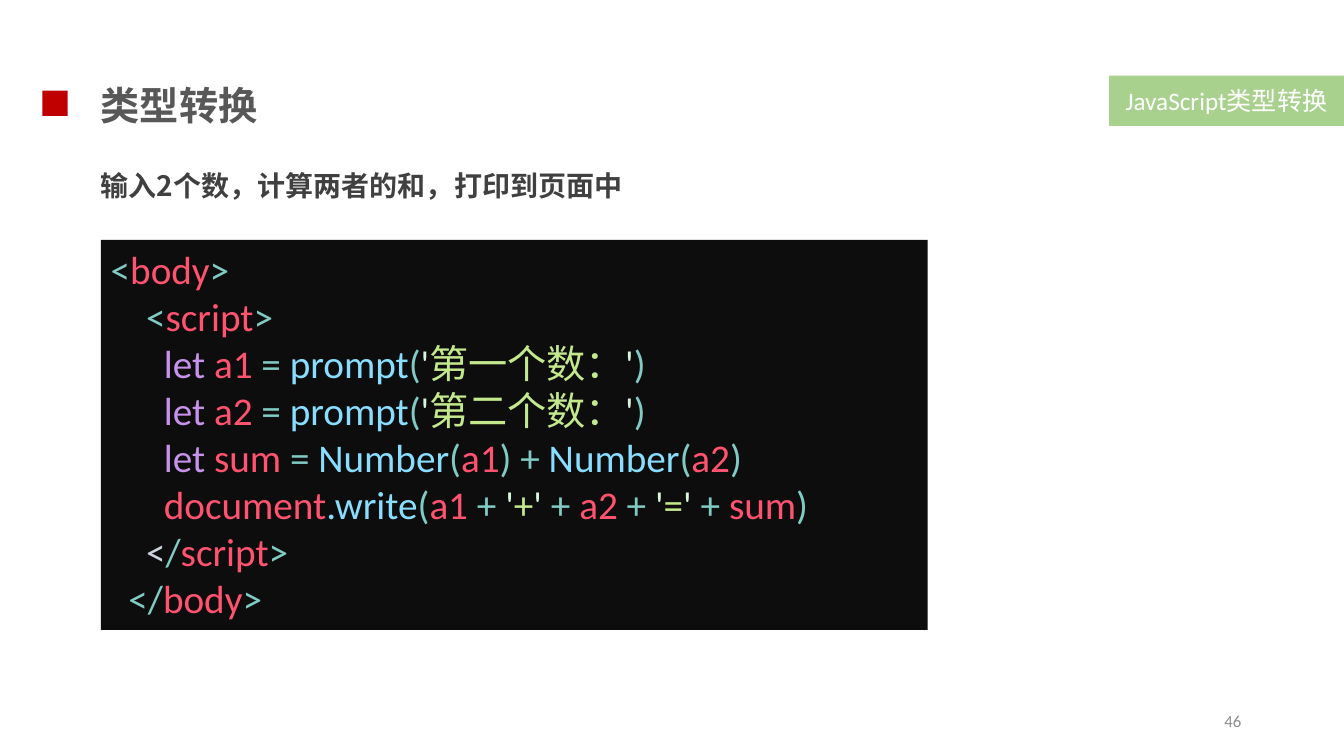
from dataclasses import dataclass

from lxml.etree import SubElement
from pptx import Presentation
from pptx.dml.color import RGBColor
from pptx.enum.shapes import MSO_SHAPE
from pptx.enum.text import MSO_ANCHOR, PP_ALIGN
from pptx.oxml.ns import qn
from pptx.util import Inches, Pt


@dataclass(frozen=True)
class Theme:
    head: str = "585858"
    body: str = "404040"
    mark: str = "C00000"
    tag: str = "A9D18E"
    white: str = "FFFFFF"
    page: str = "8C8C8C"
    panel: str = "0D0D0D"
    # Code tones
    plain: str = "CDD3DE"
    sign: str = "80CBC4"
    name: str = "FF5370"
    word: str = "C792EA"
    call: str = "89DDFF"
    quote: str = "D9F5DD"
    string: str = "C3E88D"
    # Faces and sizes
    latin: str = "Calibri"
    cjk: str = "Noto Sans CJK SC"
    large: int = 28
    medium: int = 20
    label: int = 18
    small: int = 12


THEME = Theme()


def style(run, size, color, face, bold=False):
    """Format a run, with one face for Latin and East Asian text."""
    font = run.font
    font.size = Pt(size)
    font.bold = bold
    font.name = face
    font.color.rgb = RGBColor.from_string(color)
    SubElement(font._element, qn("a:ea")).set("typeface", face)


def add_rect(slide, left, top, width, height, fill):
    rect = slide.shapes.add_shape(
        MSO_SHAPE.RECTANGLE, Inches(left), Inches(top), Inches(width), Inches(height))
    rect.shadow.inherit = False
    rect.fill.solid()
    rect.fill.fore_color.rgb = RGBColor.from_string(fill)
    rect.line.fill.background()
    return rect


def add_box(slide, left, top, width, height):
    box = slide.shapes.add_textbox(
        Inches(left), Inches(top), Inches(width), Inches(height))
    box.text_frame.word_wrap = True
    return box


def write(shape, text, size, color, face, bold=False,
          align=PP_ALIGN.LEFT, anchor=MSO_ANCHOR.MIDDLE):
    frame = shape.text_frame
    frame.text = text
    frame.vertical_anchor = anchor
    line = frame.paragraphs[0]
    line.alignment = align
    style(line.runs[0], size, color, face, bold)


def add_head(slide, top, width, height, text, size, color, anchor):
    """Add a bold line of text without side insets."""
    box = add_box(slide, 1, top, width, height)
    frame = box.text_frame
    frame.margin_left = frame.margin_right = frame.margin_bottom = 0
    frame.margin_top = Inches(0.01)
    write(box, text, size, color, THEME.cjk, True, anchor=anchor)


def add_code(slide, left, top, width, height, lines):
    panel = add_rect(slide, left, top, width, height, THEME.panel)
    frame = panel.text_frame
    frame.vertical_anchor = MSO_ANCHOR.TOP
    for index, tokens in enumerate(lines):
        line = frame.add_paragraph() if index else frame.paragraphs[0]
        line.alignment = PP_ALIGN.LEFT
        for text, color in tokens:
            run = line.add_run()
            run.text = text
            style(run, THEME.large, color, THEME.latin)


def indent(count):
    return (" " * count, THEME.plain)


def quoted(text):
    mark = ("'", THEME.quote)
    return [mark, (text, THEME.string), mark]


def called(name, inner):
    return [(name, THEME.call), ("(", THEME.sign), *inner, (")", THEME.sign)]


def declare(name, value):
    return [indent(6), ("let ", THEME.word), (name + " ", THEME.name),
            ("= ", THEME.sign), *value]


def tag(name, start="<"):
    return [(start, THEME.sign), (name, THEME.name), (">", THEME.sign)]


def build_code():
    plus = (" + ", THEME.sign)
    first, second, total = [(name, THEME.name) for name in ("a1", "a2", "sum")]
    output = [first, plus, *quoted("+"), plus, second, plus,
              *quoted("="), plus, total]
    return [
        tag("body"),
        [indent(4), *tag("script")],
        declare("a1", called("prompt", quoted("第一个数："))),
        declare("a2", called("prompt", quoted("第二个数："))),
        declare("sum", [*called("Number", [first]), plus,
                        *called("Number", [second])]),
        [indent(6), ("document", THEME.name), *called(".write", output)],
        [indent(4), ("<", THEME.plain), *tag("script", "/")],
        [indent(2), *tag("body", "</")],
    ]


def main():
    deck = Presentation()
    deck.slide_width, deck.slide_height = Inches(13.33), Inches(7.5)
    slide = deck.slides.add_slide(deck.slide_layouts[6])
    add_rect(slide, 0.42, 0.9, 0.25, 0.25, THEME.mark)
    add_head(slide, 0.79, 2.91, 0.49, "类型转换",
             THEME.large, THEME.head, MSO_ANCHOR.MIDDLE)
    add_head(slide, 1.66, 5.58, 0.35, "输入2个数，计算两者的和，打印到页面中",
             THEME.medium, THEME.body, MSO_ANCHOR.TOP)
    write(add_box(slide, 8.83, 6.95, 3.58, 0.4), "46", THEME.small,
          THEME.page, THEME.latin, align=PP_ALIGN.RIGHT)
    add_code(slide, 1, 2.38, 8.2, 3.87, build_code())
    write(add_rect(slide, 11, 0.75, 2.33, 0.5, THEME.tag), "JavaScript类型转换",
          THEME.label, THEME.white, THEME.latin, align=PP_ALIGN.CENTER)
    deck.save("out.pptx")


if __name__ == "__main__":
    main()
